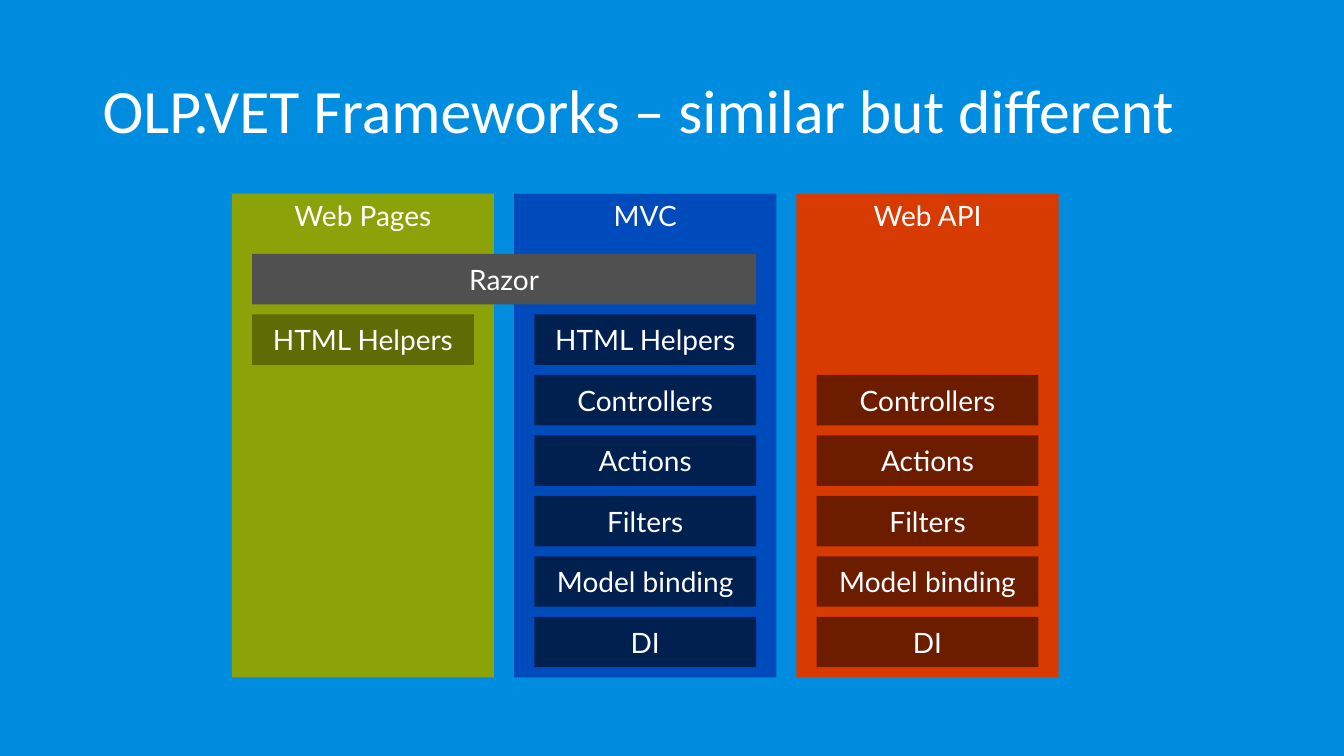
import dataclasses
from typing import Any

import pptx
import pptx.dml.color
import pptx.enum.shapes
import pptx.enum.text
import pptx.util

EMU_PER_PX = 9144


@dataclasses.dataclass(frozen=True)
class Theme:
    background: str = "008DDF"
    text: str = "FFFFFF"
    shared: str = "505050"
    title_font: str = "Calibri"
    body_font: str = "Lato"
    title_size: int = 44
    body_size: int = 20


@dataclasses.dataclass(frozen=True)
class Framework:
    name: str
    fill: str
    feature_fill: str
    first_row: int
    features: tuple[str, ...]


@dataclasses.dataclass(frozen=True)
class Box:
    left: int
    top: int
    width: int
    height: int


THEME = Theme()
CONTROLLER_FEATURES = ("Controllers", "Actions", "Filters", "Model binding", "DI")
FRAMEWORKS = (
    Framework("Web Pages", "8BA208", "5D6C05", 1, ("HTML Helpers",)),
    Framework("MVC", "004BBC", "002050", 1, ("HTML Helpers", *CONTROLLER_FEATURES)),
    Framework("Web API", "D83B01", "6C1D00", 2, CONTROLLER_FEATURES),
)
COLUMN = Box(230, 192, 260, 480)
COLUMN_PITCH = 280
FEATURE = Box(250, 252, 220, 50)
ROW_PITCH = 60
TITLE = Box(92, 40, 1150, 145)

ANCHOR = pptx.enum.text.MSO_ANCHOR
ALIGN = pptx.enum.text.PP_ALIGN


def px(length: int) -> pptx.util.Emu:
    return pptx.util.Emu(length * EMU_PER_PX)


def color(value: str) -> pptx.dml.color.RGBColor:
    return pptx.dml.color.RGBColor.from_string(value)


def apply_format(target: Any, values: dict[str, Any]) -> None:
    for name, value in values.items():
        setattr(target, name, value)


def bounds(box: Box) -> tuple[pptx.util.Emu, ...]:
    return tuple(px(length) for length in dataclasses.astuple(box))


def write_text(shape: Any, text: str, font: str, size: int,
               frame_format: dict[str, Any], paragraph_format: dict[str, Any]) -> None:
    frame = shape.text_frame
    apply_format(frame, {"word_wrap": True, **frame_format})
    paragraph = frame.paragraphs[0]
    apply_format(paragraph, paragraph_format)
    run = paragraph.add_run()
    run.text = text
    apply_format(run.font, {"name": font, "size": pptx.util.Pt(size)})
    run.font.color.rgb = color(THEME.text)


def draw_block(slide: Any, box: Box, text: str, fill: str, anchor: Any = ANCHOR.MIDDLE) -> None:
    shape = slide.shapes.add_shape(pptx.enum.shapes.MSO_SHAPE.RECTANGLE, *bounds(box))
    shape.shadow.inherit = False
    shape.fill.solid()
    shape.fill.fore_color.rgb = color(fill)
    shape.line.fill.background()
    write_text(shape, text, THEME.body_font, THEME.body_size,
               {"vertical_anchor": anchor, "margin_left": 0, "margin_right": 0},
               {"alignment": ALIGN.CENTER})


def draw_title(slide: Any, text: str) -> None:
    shape = slide.shapes.add_textbox(*bounds(TITLE))
    write_text(shape, text, THEME.title_font, THEME.title_size,
               {"vertical_anchor": ANCHOR.MIDDLE},
               {"alignment": ALIGN.LEFT, "line_spacing": 0.9})


def draw_column(slide: Any, index: int, framework: Framework) -> None:
    box = dataclasses.replace(COLUMN, left=COLUMN.left + index * COLUMN_PITCH)
    draw_block(slide, box, framework.name, framework.fill, ANCHOR.TOP)


def draw_features(slide: Any, index: int, framework: Framework) -> None:
    for row, feature in enumerate(framework.features, framework.first_row):
        box = dataclasses.replace(FEATURE, left=FEATURE.left + index * COLUMN_PITCH,
                                  top=FEATURE.top + row * ROW_PITCH)
        draw_block(slide, box, feature, framework.feature_fill)


def main() -> None:
    presentation = pptx.Presentation()
    apply_format(presentation, {"slide_width": px(1333), "slide_height": px(750)})
    slide = presentation.slides.add_slide(presentation.slide_layouts[6])
    slide.background.fill.solid()
    slide.background.fill.fore_color.rgb = color(THEME.background)

    draw_title(slide, "OLP.VET Frameworks – similar but different")
    for index, framework in enumerate(FRAMEWORKS):
        draw_column(slide, index, framework)
    shared_box = dataclasses.replace(FEATURE, width=FEATURE.width + COLUMN_PITCH)
    draw_block(slide, shared_box, "Razor", THEME.shared)
    for index, framework in enumerate(FRAMEWORKS):
        draw_features(slide, index, framework)

    presentation.save("out.pptx")


if __name__ == "__main__":
    main()
